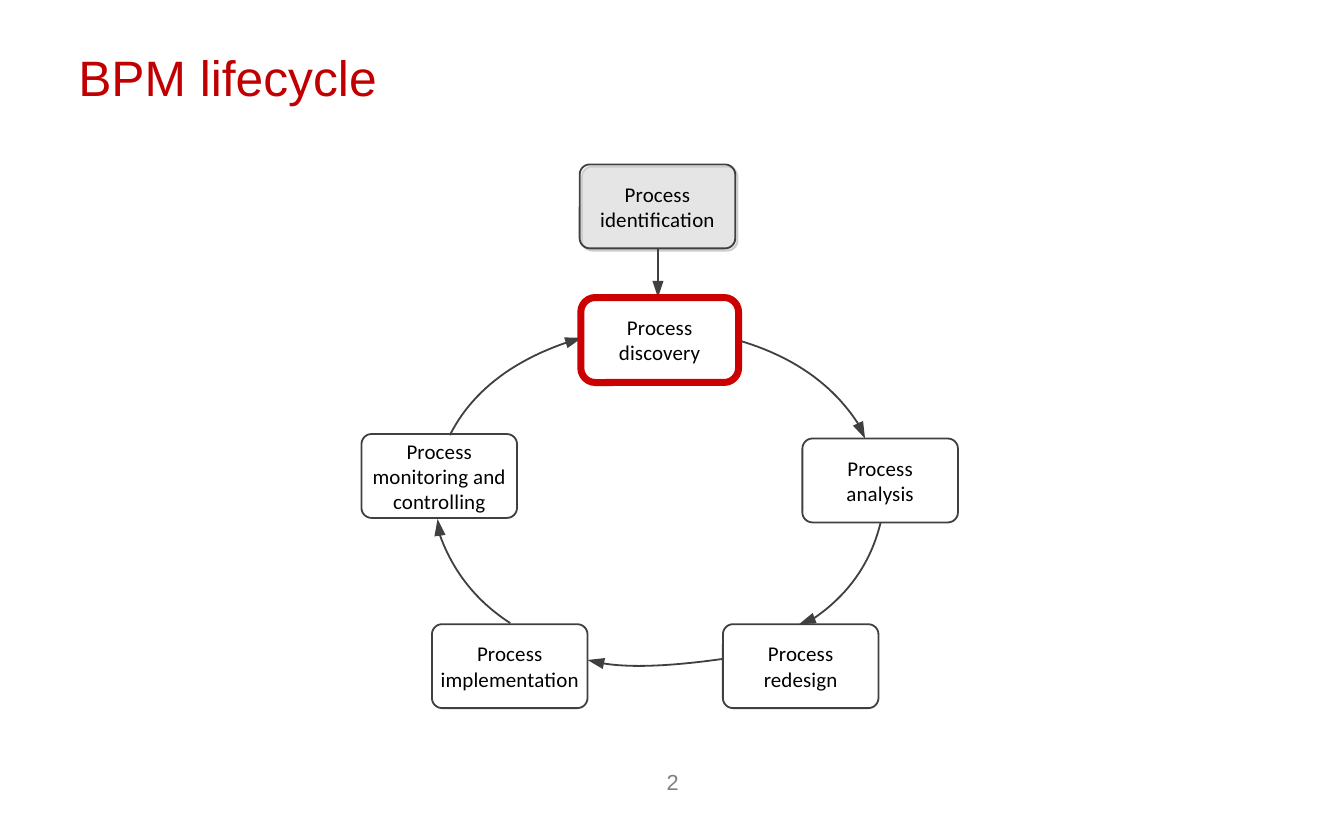
from dataclasses import dataclass
from math import hypot

from lxml.etree import SubElement
from pptx import Presentation
from pptx.dml.color import RGBColor as Rgb
from pptx.enum.shapes import MSO_CONNECTOR as Link, MSO_SHAPE as Kind
from pptx.enum.text import MSO_ANCHOR as Anchor, MSO_AUTO_SIZE as Fit, PP_ALIGN as Align
from pptx.oxml.ns import qn
from pptx.util import Pt

SCALE = 9144


@dataclass(frozen=True)
class Theme:
    title: str = "C00000"
    mark: str = "CC0000"
    line: str = "404040"
    shade: str = "CDCDCD"
    text: str = "000000"
    page: str = "7F7F7F"
    head: str = "Arial"
    body: str = "Calibri"
    big: float = 32
    mid: float = 14
    small: float = 13.5
    thin: float = 1.15
    thick: float = 4.5


def px(*nums):
    return [round(num * SCALE) for num in nums]


class Deck:
    def __init__(self, wide, high):
        self.style = Theme()
        self.file = Presentation()
        self.file.slide_width, self.file.slide_height = px(wide, high)
        self.slide = self.file.slides.add_slide(self.file.slide_layouts[5])
        self.shapes = self.slide.shapes

    def label(self, shape, rows, size, font, color, align, anchor, gap=0):
        frame = shape.text_frame
        frame.margin_left = frame.margin_right = 0
        frame.margin_top = frame.margin_bottom = 0
        frame.auto_size = Fit.NONE
        frame.word_wrap = True
        frame.vertical_anchor = anchor
        for num, row in enumerate(rows):
            para = frame.add_paragraph() if num else frame.paragraphs[0]
            para.alignment = align
            run = para.add_run()
            run.text = row
            run.font.size = Pt(size)
            run.font.name = font
            run.font.color.rgb = Rgb.from_string(color)
            if gap:
                run._r.get_or_add_rPr().set("spc", str(gap))

    def title(self, text, *area):
        shape = self.shapes.title
        shape.left, shape.top, shape.width, shape.height = px(*area)
        look = self.style
        self.label(shape, [text], look.big, look.head, look.title, Align.LEFT, Anchor.TOP)

    def page(self, text, *area):
        shape = self.shapes.add_textbox(*px(*area))
        look = self.style
        self.label(shape, [text], look.mid, look.head, look.page, Align.CENTER, Anchor.TOP)

    def paint(self, shape, fill=None, line=None, width=None):
        shape.shadow.inherit = False
        if fill:
            shape.fill.solid()
            shape.fill.fore_color.rgb = Rgb.from_string(fill)
        else:
            shape.fill.background()
        if line:
            shape.line.color.rgb = Rgb.from_string(line)
            shape.line.width = Pt(width or self.style.thin)
        else:
            shape.line.fill.background()

    def box(self, area, rows=(), fill=None, line=None, width=None, curve=0.12):
        shape = self.shapes.add_shape(Kind.ROUNDED_RECTANGLE, *px(*area))
        shape.adjustments[0] = curve
        self.paint(shape, fill, line or self.style.line, width)
        look = self.style
        self.label(shape, rows, look.small, look.body, look.text, Align.CENTER, Anchor.MIDDLE, 10)
        return shape

    def shade(self, area):
        color = self.style.shade
        shape = self.box(area, fill=color, line=color)
        tint = shape._element.spPr.find(qn("a:solidFill"))[0]
        SubElement(tint, qn("a:alpha")).set("val", "50000")

    def trace(self, dots, close):
        start, *rest = [px(*dot) for dot in dots]
        pen = self.shapes.build_freeform(*start)
        pen.add_line_segments(rest, close=close)
        return pen.convert_to_shape()

    def tip(self, end, point, long=15, half=5):
        (x, y), (tx, ty) = end, point
        size = hypot(tx - x, ty - y)
        ux, uy = (tx - x) / size, (ty - y) / size
        bx, by = tx - long * ux, ty - long * uy
        sides = [(bx + k * uy, by - k * ux) for k in (half, -half)]
        self.paint(self.trace([point, *sides], True), fill=self.style.line)

    def arrow(self, start, end, point):
        line = self.shapes.add_connector(Link.STRAIGHT, *px(*start, *end))
        line.line.color.rgb = Rgb.from_string(self.style.line)
        line.line.width = Pt(self.style.thin)
        SubElement(line._element.spPr, qn("a:effectLst"))
        self.tip(end, point)

    def bend(self, start, pull, end, point, steps=24):
        dots = []
        for num in range(steps + 1):
            t = num / steps
            dots.append([(1 - t) ** 2 * a + 2 * t * (1 - t) * b + t * t * c
                         for a, b, c in zip(start, pull, end)])
        self.paint(self.trace(dots, False), line=self.style.line)
        self.tip(end, point)


def main():
    deck = Deck(1201, 750)
    look = deck.style
    deck.title("BPM lifecycle", 70, 42, 300, 56)

    wide, high = 139, 75
    deck.shade((520, 149, wide, high))
    steps = [
        (518, 147, "Process", "identification"),
        (323, 388, "Process", "monitoring and", "controlling"),
        (386, 558, "Process", "implementation"),
        (717, 392, "Process", "analysis"),
        (646, 558, "Process", "redesign"),
    ]
    for left, top, *rows in steps:
        deck.box((left, top, wide, high), rows)

    deck.arrow((588, 222), (588, 253), (588, 266))
    bends = [
        ((659, 304), (732, 325), (767, 379), (773, 392)),
        ((787, 467), (774, 521), (727, 553), (714, 558)),
        ((646, 589), (575, 599), (539, 593), (525, 590)),
        ((456, 557), (411, 528), (393, 478), (391, 464)),
        ((402, 389), (431, 332), (507, 306), (520, 302)),
    ]
    for bend in bends:
        deck.bend(*bend)

    deck.box((519, 266, 141, 76), ["Process", "discovery"],
             line=look.mark, width=look.thick, curve=0.17)
    deck.page("2", 594, 687, 14, 26)
    deck.file.save("out.pptx")


if __name__ == "__main__":
    main()
